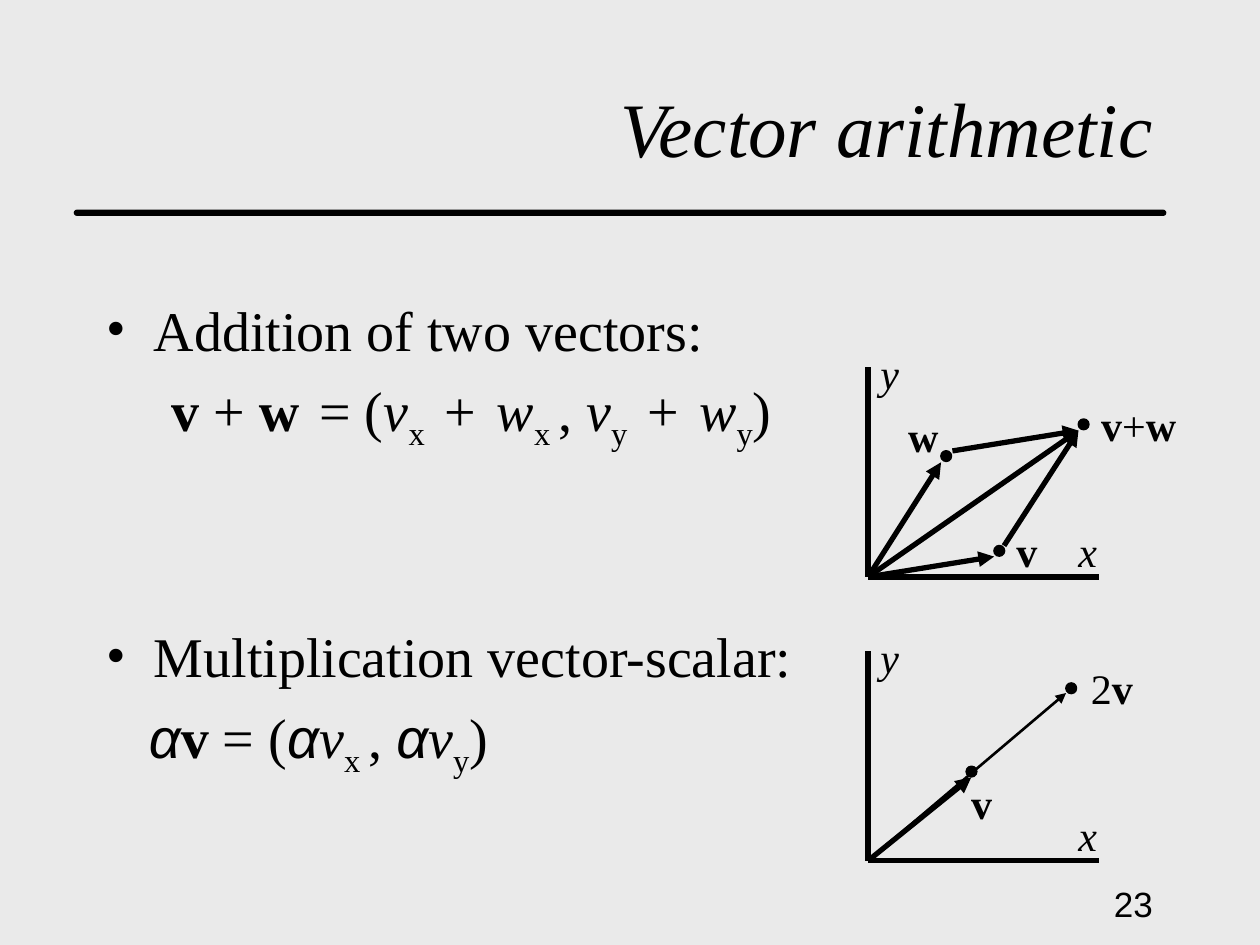
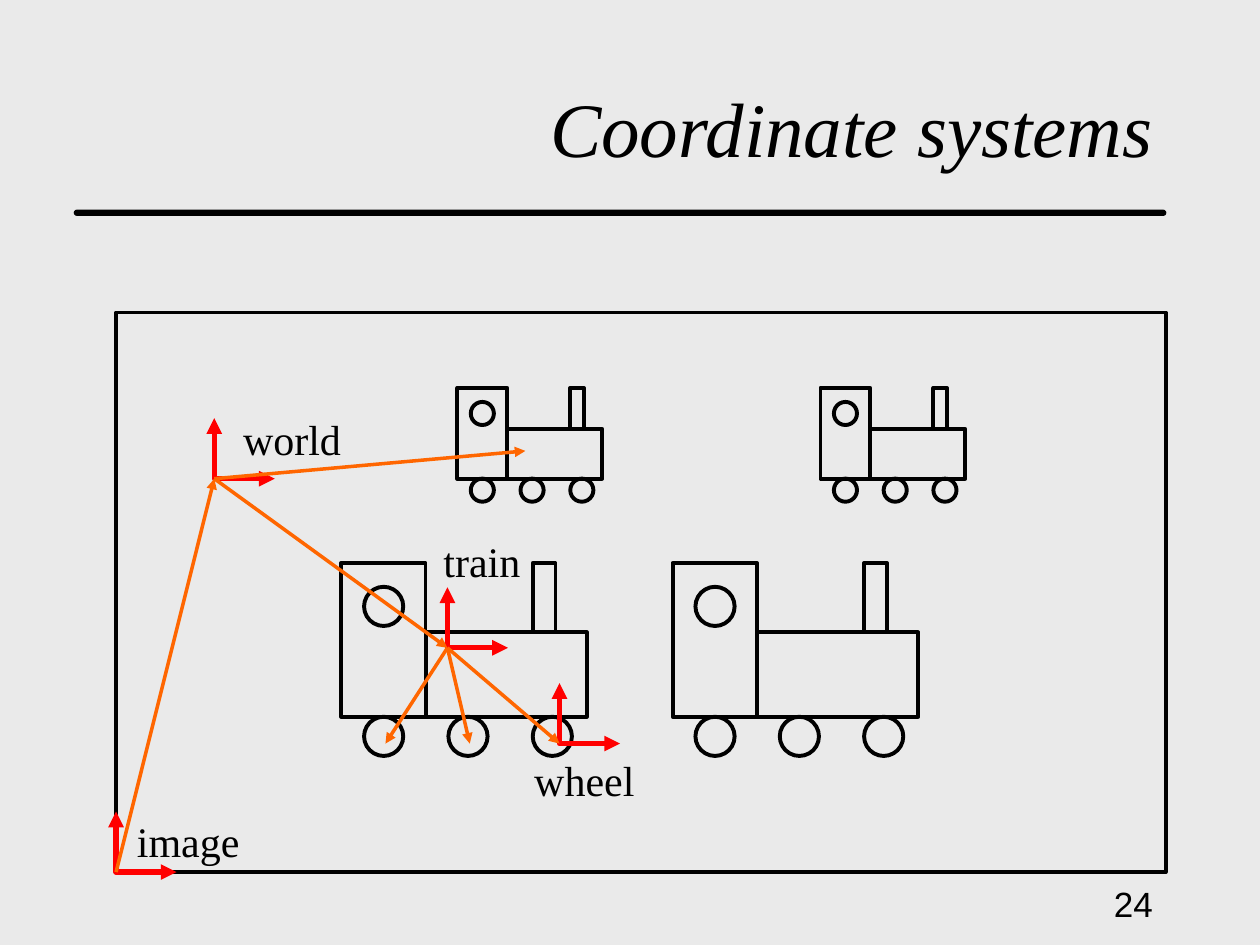
from lxml import etree
from pptx import Presentation
from pptx.dml.color import RGBColor
from pptx.enum.shapes import MSO_CONNECTOR, MSO_SHAPE
from pptx.enum.text import MSO_ANCHOR, PP_ALIGN
from pptx.oxml.ns import qn
from pptx.util import Cm, Pt

RECT, OVAL, ROUND = MSO_SHAPE.RECTANGLE, MSO_SHAPE.OVAL, MSO_SHAPE.ROUNDED_RECTANGLE
LINE = MSO_CONNECTOR.STRAIGHT
LEFT, RIGHT = PP_ALIGN.LEFT, PP_ALIGN.RIGHT
TOP, MID, LOW = MSO_ANCHOR.TOP, MSO_ANCHOR.MIDDLE, MSO_ANCHOR.BOTTOM

HUES = {"page": "EAEAEA", "ink": "000000", "axis": "FF0000", "link": "FF6600"}
LOOKS = {
    "": {},
    "b": {"bold": True},
    "i": {"italic": True},
    "a": {"italic": True, "name": "Arial"},
    "n": {"name": "Arial"},
    "s": {},
    "g": {},
}
MARKS = {"s": ("baseline", "-25000"), "g": ("spc", "350")}
TAG = {"word_wrap": False, "margin_top": Cm(0.23)}


def put(shape, lines, size, form, align=LEFT):
    frame = shape.text_frame
    for key, value in form.items():
        setattr(frame, key, value)
    for rank, runs in enumerate(lines):
        para = frame.add_paragraph() if rank else frame.paragraphs[0]
        para.alignment = align
        for text, look in runs:
            run = para.add_run()
            run.text = text
            base = {"name": "Times New Roman", "size": Pt(size), "bold": False, "italic": False}
            for key, value in {**base, **LOOKS[look]}.items():
                setattr(run.font, key, value)
            run.font.color.rgb = RGBColor.from_string(HUES["ink"])
            if look in MARKS:
                run.font._element.set(*MARKS[look])
    return frame


def draw(item, hue, width, ends=(), fill=None):
    if fill:
        item.fill.solid()
        item.fill.fore_color.rgb = RGBColor.from_string(HUES[fill])
    elif hasattr(item, "fill"):
        item.fill.background()
    item.line.color.rgb = RGBColor.from_string(HUES[hue])
    item.line.width = Pt(width)
    props = item._element.spPr
    for end in ends:
        etree.SubElement(props.find(qn("a:ln")), qn("a:" + end), type="triangle")
    etree.SubElement(props, qn("a:effectLst"))


deck = Presentation()
deck.slide_width, deck.slide_height = Cm(25.4), Cm(19.05)
back = deck.slide_master.background.fill
back.solid()
back.fore_color.rgb = RGBColor.from_string(HUES["page"])

slides = []
for page, name in ((23, "Vector arithmetic"), (24, "Coordinate systems")):
    slide = deck.slides.add_slide(deck.slide_layouts[5])
    slides.append(slide)
    bar = slide.shapes.add_shape(ROUND, Cm(1.5), Cm(4.24), Cm(22), Cm(0.1))
    bar.adjustments[0] = 0.5
    draw(bar, "ink", 0.75, fill="ink")
    box = slide.shapes.add_textbox(Cm(18.21), Cm(17.58), Cm(5.28), Cm(1.27))
    put(box, [[(str(page), "n")]], 20, {"word_wrap": True, "vertical_anchor": MID}, RIGHT)
    title = slide.shapes.title
    title.left, title.top, title.width, title.height = Cm(1.9), Cm(1.07), Cm(21.6), Cm(2.54)
    put(title, [[(name, "i")]], 44, {"word_wrap": True, "vertical_anchor": LOW}, RIGHT)

shapes = slides[0].shapes
lines = [
    [("Addition of two vectors:", "")],
    [("v ", "b"), ("+ ", ""), ("w", "b"), (" ", "g"), ("= (", ""),
     ("v", "i"), ("x", "s"), (" ", "g"), ("+", ""), (" ", "g"), ("w", "i"), ("x ", "s"), (", ", ""),
     ("v", "i"), ("y", "s"), (" ", "g"), ("+", ""), (" ", "g"), ("w", "i"), ("y", "s"), (")", "")],
    [("Multiplication vector-scalar:", "")],
    [("α", "a"), ("v ", "b"), ("= (", ""), ("α", "a"), ("v", "i"), ("x ", "s"), (", ", ""),
     ("α", "a"), ("v", "i"), ("y", "s"), (")", "")],
]
box = shapes.add_textbox(Cm(1.9), Cm(5.72), Cm(16.94), Cm(11.43))
body = put(box, lines, 32, {**TAG, "word_wrap": True, "vertical_anchor": TOP})
rules = [(0.95, -0.95, 0), (1.3, 0, 7.5), (0.95, -0.95, 97), (0.85, 0, 7.5)]
for para, (left, hang, gap) in zip(body.paragraphs, rules):
    para.space_before = Pt(gap)
    props = para._p.get_or_add_pPr()
    props.set("marL", str(Cm(left)))
    props.set("indent", str(Cm(hang)))
    if hang:
        etree.SubElement(props, qn("a:buFont"), typeface="Times New Roman")
        etree.SubElement(props, qn("a:buChar"), char="•")

plots = [
    {
        "base": 11.63,
        "dots": [(1.47, -2.54), (2.54, -0.63), (4.24, -3.18)],
        "tags": [(0.56, -3.58, 1.12, [("w", "b")]), (2.74, -1.27, 0.94, [("v", "b")]),
                 (4.45, -3.81, 2.03, [("v", "b"), ("+", ""), ("w", "b")])],
        "rays": [(0, 0, 2.54, -0.41, 3), (0, 0, 1.47, -2.31, 3), (2.74, -0.63, 4.24, -2.95, 3),
                 (0, 0, 4.24, -2.95, 3), (1.7, -2.54, 4.24, -2.95, 3)],
    },
    {
        "base": 17.35,
        "dots": [(1.98, -1.9), (3.99, -3.58)],
        "tags": [(1.83, -1.9, 0.94, [("v", "b")]), (4.24, -4.22, 1.35, [("2", ""), ("v", "b")])],
        "rays": [(0, 0, 2.08, -1.68, 3), (0, 0, 3.99, -3.38, 1.5)],
    },
]
axes = [(0, 0, 4.65, 0, 3), (0, 0, 0, -4.23, 3)]
names = [(3.99, -1.27, 0.89, [("x", "i")]), (0, -4.85, 0.89, [("y", "i")])]
left = 17.5
for plot in plots:
    base = plot["base"]
    for rays, ends in ((axes, ()), (plot["rays"], ("tailEnd",))):
        for x, y, far, high, width in rays:
            ray = shapes.add_connector(LINE, Cm(left + x), Cm(base + y), Cm(left + far), Cm(base + high))
            draw(ray, "ink", width, ends)
    for x, y in plot["dots"]:
        draw(shapes.add_shape(OVAL, Cm(left + x), Cm(base + y), Cm(0.21), Cm(0.21)), "ink", 1, fill="ink")
    for x, y, width, runs in names + plot["tags"]:
        put(shapes.add_textbox(Cm(left + x), Cm(base + y), Cm(width), Cm(1.27)), [runs], 24, TAG)

shapes = slides[1].shapes
parts = [(RECT, 1.7, 1.4, 3.25, 1.7), (RECT, 0, 0, 1.7, 3.1), (RECT, 3.86, 0, 0.46, 1.4),
         (OVAL, 0.46, 0.48, 0.79, 0.79)]
parts += [(OVAL, 0.46 + 1.7 * rank, 3.1, 0.79, 0.79) for rank in range(3)]
trains = [(6.88, 11.35, 1), (13.56, 11.35, 1), (16.54, 7.82, 0.59), (9.22, 7.82, 0.59)]
for left, top, scale in trains:
    train = shapes.add_group_shape().shapes
    for kind, x, y, width, height in parts:
        part = train.add_shape(kind, Cm(left + x * scale), Cm(top + y * scale),
                               Cm(width * scale), Cm(height * scale))
        draw(part, "ink", 2.25)

draw(shapes.add_shape(RECT, Cm(2.34), Cm(6.3), Cm(21.16), Cm(11.28)), "ink", 2.25)

spots = {"image": (2.34, 17.58), "world": (4.32, 9.65), "train": (9.02, 13.06), "wheel": (11.28, 14.99)}
arm = 1.22
for x, y in spots.values():
    pen = shapes.build_freeform(Cm(x), Cm(y - arm))
    pen.add_line_segments([(Cm(x), Cm(y)), (Cm(x + arm), Cm(y))], close=False)
    draw(pen.convert_to_shape(), "axis", 3, ("headEnd", "tailEnd"))

tags = [("image", 2.51, 16.21, 2.57), ("wheel", 10.52, 14.99, 2.54),
        ("train", 8.69, 10.57, 2.06), ("world", 4.65, 8.1, 2.49)]
for text, x, y, width in tags:
    put(shapes.add_textbox(Cm(x), Cm(y), Cm(width), Cm(1.27)), [[(text, "")]], 24, TAG)

links = [("world", spots["train"]), ("train", spots["wheel"]), ("world", (10.59, 9.09)),
         ("train", (9.47, 14.99)), ("train", (7.77, 14.99)), ("image", spots["world"])]
for start, stop in links:
    link = shapes.add_connector(LINE, *map(Cm, spots[start] + stop))
    draw(link, "link", 2, ("tailEnd",))

deck.save("out.pptx")
